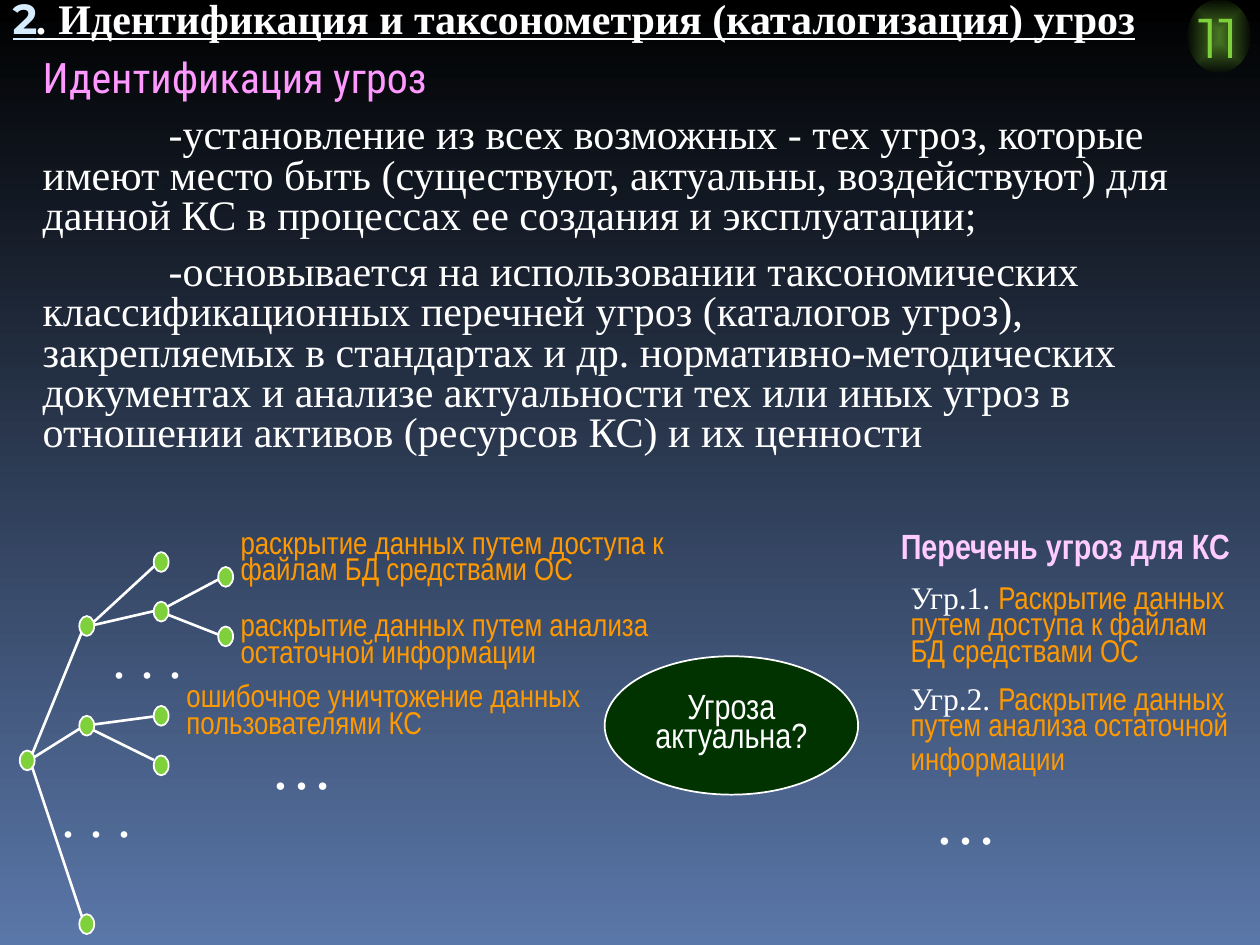
from lxml.etree import SubElement
from pptx import Presentation
from pptx.dml.color import RGBColor
from pptx.enum.shapes import MSO_CONNECTOR, MSO_SHAPE
from pptx.enum.text import MSO_ANCHOR, MSO_AUTO_SIZE, PP_ALIGN
from pptx.oxml.ns import qn
from pptx.util import Cm, Pt

BLACK = RGBColor(0x00, 0x00, 0x00)
WHITE = RGBColor(0xFF, 0xFF, 0xFF)
STEEL = RGBColor(0x5A, 0x77, 0xA9)
ICE = RGBColor(0xD6, 0xEC, 0xFF)
GREEN = RGBColor(0x7F, 0xD1, 0x3B)
DARK_GREEN = RGBColor(0x00, 0x33, 0x00)
BADGE_EDGE = RGBColor(0x09, 0x10, 0x04)
PINK = RGBColor(0xFF, 0x99, 0xFF)
PALE_PINK = RGBColor(0xFF, 0xCC, 0xFF)
ORANGE = RGBColor(0xFF, 0x99, 0x00)
SERIF = "Times New Roman"
NARROW = "Arial Narrow"
ROUND = "Montserrat"


def add_runs(paragraph, *runs, line_spacing=None):
    """Append (text, size, font, colour) runs to the paragraph."""
    if line_spacing:
        paragraph.line_spacing = line_spacing
    for text, size, font, color in runs:
        run = paragraph.add_run()
        run.text = text
        run.font.size = Pt(size)
        run.font.name = font
        run.font.color.rgb = color


def add_box(left, top, width, height):
    """Add a wrapping text box, measured in centimetres, and return its frame."""
    frame = slide.shapes.add_textbox(Cm(left), Cm(top), Cm(width), Cm(height)).text_frame
    frame.word_wrap = True
    return frame


prs = Presentation()
prs.slide_width, prs.slide_height = Cm(25.4), Cm(19.05)
slide = prs.slides.add_slide(prs.slide_layouts[5])

backdrop = slide.background.fill
backdrop.gradient()
backdrop.gradient_angle = 270
for stop, color in zip(backdrop.gradient_stops, (BLACK, STEEL)):
    stop.color.rgb = color

# Title
title = slide.shapes.title
title.left, title.top, title.width, title.height = Cm(0), Cm(0), Cm(23.5), Cm(0.97)
title.text_frame.vertical_anchor = MSO_ANCHOR.TOP
title.text_frame.auto_size = MSO_AUTO_SIZE.NONE
heading = title.text_frame.paragraphs[0]
heading.alignment = PP_ALIGN.LEFT
add_runs(heading,
         ("2", 24, ROUND, ICE),
         (". ", 24, SERIF, WHITE),
         ("Идентификация и таксонометрия (каталогизация) угроз", 24, SERIF, WHITE),
         line_spacing=0.7)
for run in heading.runs:
    run.font.bold = run.font.underline = True
heading.runs[1].font.italic = True

# Page number badge with a translucent glow
badge = slide.shapes.add_shape(MSO_SHAPE.OVAL, Cm(23.93), Cm(0), Cm(1.27), Cm(1.47))
badge.shadow.inherit = False
badge.line.fill.background()
badge.fill.gradient()
for stop, color in zip(badge.fill.gradient_stops, (GREEN, BADGE_EDGE)):
    stop.color.rgb = color
glow = badge._element.spPr.find(qn("a:gradFill"))
for rgb, opacity in zip(glow.iter(qn("a:srgbClr")), ("56000", "53000")):
    SubElement(rgb, qn("a:alpha"), val=opacity)
glow.remove(glow.find(qn("a:lin")))
center = SubElement(glow, qn("a:path"), path="rect")
SubElement(center, qn("a:fillToRect"), l="50000", t="50000", r="50000", b="50000")
badge.text_frame.word_wrap = False
badge.text_frame.vertical_anchor = MSO_ANCHOR.MIDDLE
badge.text_frame.paragraphs[0].alignment = PP_ALIGN.CENTER
add_runs(badge.text_frame.paragraphs[0], ("11", 32, ROUND, GREEN))

# Definition of threat identification
definition = add_box(0.61, 0.91, 24.31, 8.41)
add_runs(definition.paragraphs[0], ("Идентификация угроз", 24, "Roboto Condensed", PINK))
for statement in (
    "\t-установление из всех возможных - тех угроз, которые имеют место быть "
    "(существуют, актуальны, воздействуют) для данной КС в процессах ее создания "
    "и эксплуатации;",
    "\t-основывается на использовании таксономических классификационных перечней "
    "угроз (каталогов угроз), закрепляемых в стандартах и др. нормативно-методических "
    "документах и анализе актуальности тех или иных угроз в отношении активов "
    "(ресурсов КС) и их ценности",
):
    paragraph = definition.add_paragraph()
    tabs = SubElement(paragraph._p.get_or_add_pPr(), qn("a:tabLst"))
    SubElement(tabs, qn("a:tab"), pos=str(Cm(2.54)), algn="l")
    paragraph.space_before = Pt(9)
    add_runs(paragraph, (statement, 24, SERIF, WHITE), line_spacing=0.8)

# Threat tree: branches grouped by their starting point, then nodes by column
branches = {
    (3.2, 12.32): [(4.5, 12.83), (4.5, 11.63)],
    (1.7, 14.63): [(3.1, 15.32), (3.2, 14.43)],
    (1.8, 12.62): [(3.1, 12.32), (3.2, 11.33)],
    (0.6, 15.32): [(1.7, 18.62), (1.7, 12.62), (1.7, 14.63)],
}
for (start_x, start_y), ends in branches.items():
    for end_x, end_y in ends:
        branch = slide.shapes.add_connector(
            MSO_CONNECTOR.STRAIGHT, Cm(start_x), Cm(start_y), Cm(end_x), Cm(end_y))
        branch.line.color.rgb = WHITE
        branch.line.width = Pt(1.5)
        SubElement(branch._element.spPr, qn("a:effectLst"))

node_columns = {
    0.4: [15.13],
    1.6: [12.42, 14.43, 18.43],
    3.1: [11.13, 12.13, 14.23, 15.23],
    4.4: [11.43, 12.63],
}
for left, tops in node_columns.items():
    for top in tops:
        node = slide.shapes.add_shape(MSO_SHAPE.OVAL, Cm(left), Cm(top), Cm(0.3), Cm(0.4))
        node.shadow.inherit = False
        node.fill.solid()
        node.fill.fore_color.rgb = GREEN
        node.line.color.rgb = WHITE
        node.line.width = Pt(1)

for left, top in ((0.99, 15.62), (2.01, 12.42)):
    add_runs(add_box(left, top, 2.79, 1.63).paragraphs[0], (". . .", 32, SERIF, WHITE))

for left, top, threat in (
    (4.6, 10.62, "раскрытие данных путем доступа к файлам БД средствами ОС"),
    (4.6, 12.29, "раскрытие данных путем анализа остаточной информации"),
    (3.51, 13.72, "ошибочное уничтожение данных пользователями КС"),
):
    add_runs(add_box(left, top, 9.5, 1.32).paragraphs[0],
             (threat, 18, NARROW, ORANGE), line_spacing=0.7)

# Relevance question
question = slide.shapes.add_shape(MSO_SHAPE.OVAL, Cm(12.19), Cm(13.23), Cm(5.11), Cm(2.79))
question.shadow.inherit = False
question.fill.solid()
question.fill.fore_color.rgb = DARK_GREEN
question.line.color.rgb = WHITE
question.line.width = Pt(1)
question.text_frame.word_wrap = False
question.text_frame.vertical_anchor = MSO_ANCHOR.MIDDLE
first_line = question.text_frame.paragraphs[0]
second_line = question.text_frame.add_paragraph()
for paragraph, words in ((first_line, "Угроза"), (second_line, "актуальна?")):
    paragraph.alignment = PP_ALIGN.CENTER
    add_runs(paragraph, (words, 20, NARROW, WHITE), line_spacing=0.7)

# Resulting list of threats
list_heading = add_box(17.91, 10.44, 7.49, 1.12).paragraphs[0]
add_runs(list_heading, ("Перечень угроз для КС", 20, NARROW, PALE_PINK))
list_heading.runs[0].font.bold = True

first_threat = add_box(18.11, 11.73, 7.29, 1.85).paragraphs[0]
add_runs(first_threat,
         ("Угр.1. ", 18, SERIF, WHITE),
         ("Раскрытие данных путем доступа к файлам БД средствами ОС", 18, NARROW, ORANGE),
         line_spacing=0.7)
second_threat = add_box(18.11, 13.77, 7.29, 2.03).paragraphs[0]
add_runs(second_threat,
         ("Угр.2. ", 18, SERIF, WHITE),
         ("Раскрытие данных путем анализа остаточной информации", 18, NARROW, ORANGE),
         (" ", 24, SERIF, WHITE),
         line_spacing=0.7)

for left, top in ((18.59, 15.62), (5.21, 14.53)):
    add_runs(add_box(left, top, 5.41, 1.78).paragraphs[0], ("…", 36, SERIF, WHITE))

prs.save("out.pptx")
